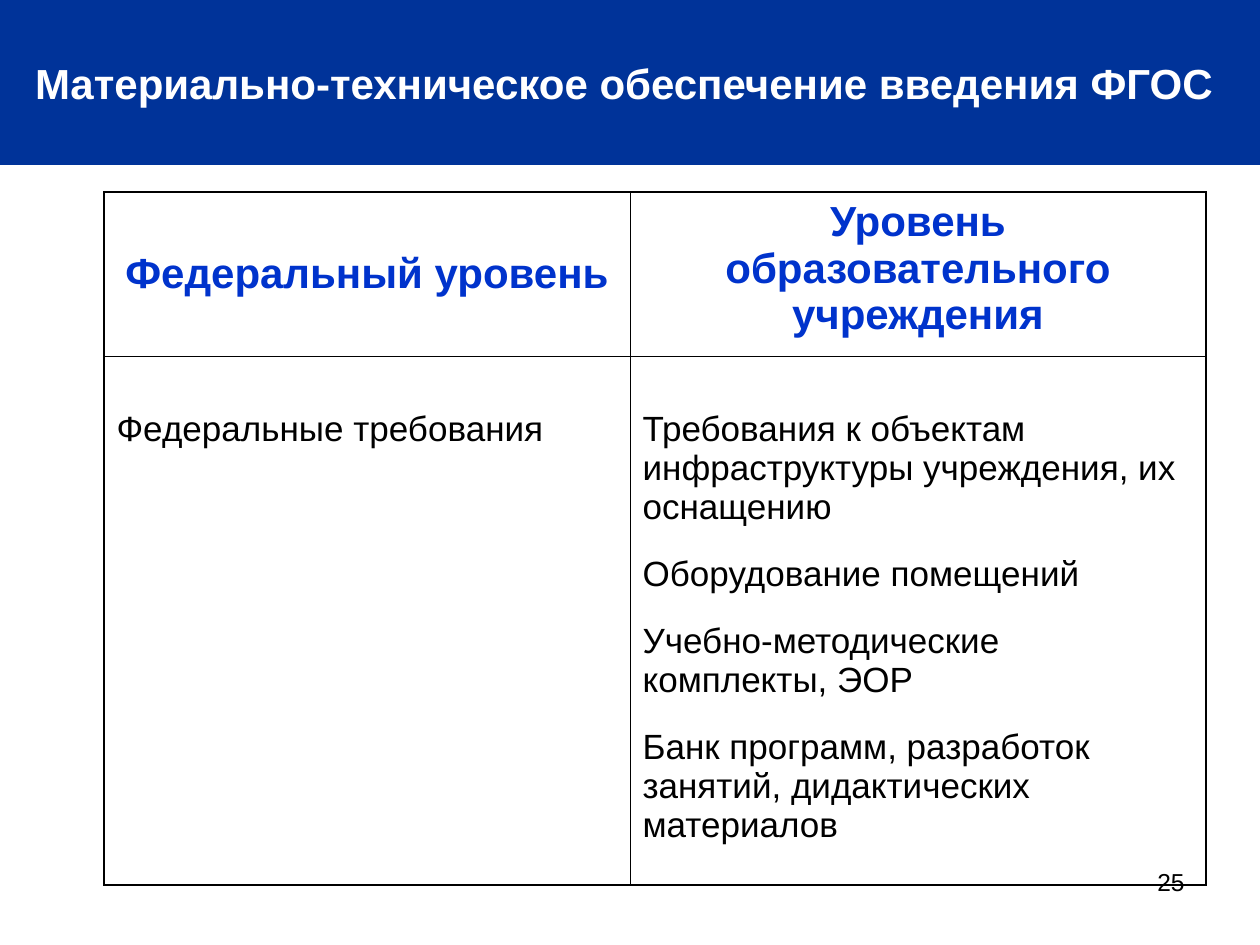
from lxml import etree
from pptx import Presentation
from pptx.dml.color import RGBColor
from pptx.enum.shapes import MSO_SHAPE
from pptx.enum.text import MSO_ANCHOR, PP_ALIGN
from pptx.oxml.ns import qn
from pptx.util import Emu, Pt

RECTANGLE = MSO_SHAPE.RECTANGLE
TOP, MIDDLE = MSO_ANCHOR.TOP, MSO_ANCHOR.MIDDLE
LEFT, CENTER, RIGHT = PP_ALIGN.LEFT, PP_ALIGN.CENTER, PP_ALIGN.RIGHT

PX_PER_INCH = 126
FONT = "Arial"
BLACK, WHITE, NAVY, BLUE = "000000", "FFFFFF", "003399", "0033CC"
OUTER_PT, INNER_PT = 1.08, 0.45
COLUMN_WIDTHS = (526, 576)
ROW_HEIGHTS = (164, 529)
BODY_TOP_MARGIN = 54

LEVELS = ["Федеральный уровень", "Уровень образовательного учреждения"]
MEASURES = [
    ["Федеральные требования"],
    [
        "Требования к объектам инфраструктуры учреждения, их оснащению",
        "Оборудование помещений",
        "Учебно-методические комплекты, ЭОР",
        "Банк программ, разработок занятий, дидактических материалов",
    ],
]


def px(length):
    """Turn pixels into EMU."""
    return Emu(round(length * 914400 / PX_PER_INCH))


def color(hex_value):
    """Turn a hex string into a colour."""
    return RGBColor.from_string(hex_value)


def write(frame, lines, size, hex_value, align, bold=False, gap=0):
    """Write one paragraph per line, with a gap in points between them."""
    for index, line in enumerate(lines):
        paragraph = frame.add_paragraph() if index else frame.paragraphs[0]
        paragraph.alignment = align
        if index:
            paragraph.space_before = Pt(gap)
        run = paragraph.add_run()
        run.text = line
        run.font.name = FONT
        run.font.size = Pt(size)
        run.font.bold = bold
        run.font.color.rgb = color(hex_value)


def add_title_band(slide, left, top, width, height):
    """Draw the filled band with the slide title."""
    band = slide.shapes.add_shape(RECTANGLE, px(left), px(top), px(width), px(height))
    band.shadow.inherit = False
    band.fill.solid()
    band.fill.fore_color.rgb = color(NAVY)
    band.line.fill.background()
    frame = band.text_frame
    frame.word_wrap = False
    frame.vertical_anchor = MIDDLE
    write(frame, ["Материально-техническое обеспечение введения ФГОС "], 24, WHITE, CENTER, bold=True)


def add_page_number(slide, left, top, width, height):
    """Place the right-aligned page number."""
    frame = slide.shapes.add_textbox(px(left), px(top), px(width), px(height)).text_frame
    frame.word_wrap = True
    write(frame, ["25"], 14, BLACK, RIGHT)


def set_borders(cell, row, column):
    """Give a cell heavier lines on the outer edges of the table."""
    outer_sides = {
        "a:lnL": column == 0,
        "a:lnR": column == len(COLUMN_WIDTHS) - 1,
        "a:lnT": row == 0,
        "a:lnB": row == len(ROW_HEIGHTS) - 1,
    }
    properties = cell._tc.get_or_add_tcPr()
    for tag, is_outer in outer_sides.items():
        width = Pt(OUTER_PT if is_outer else INNER_PT)
        line = etree.SubElement(properties, qn(tag), w=str(int(width)))
        fill = etree.SubElement(line, qn("a:solidFill"))
        etree.SubElement(fill, qn("a:srgbClr"), val=BLACK)


def add_levels_table(slide, left, top):
    """Build the table of measures by level."""
    table = slide.shapes.add_table(
        len(ROW_HEIGHTS), len(COLUMN_WIDTHS), px(left), px(top),
        px(sum(COLUMN_WIDTHS)), px(sum(ROW_HEIGHTS)),
    ).table
    table.first_row = table.horz_banding = False
    for row, height in enumerate(ROW_HEIGHTS):
        table.rows[row].height = px(height)
    for column, width in enumerate(COLUMN_WIDTHS):
        table.columns[column].width = px(width)
        header, body = table.cell(0, column), table.cell(1, column)
        for row, cell in enumerate((header, body)):
            set_borders(cell, row, column)
            cell.fill.background()
        header.vertical_anchor = TOP if column else MIDDLE
        body.margin_top = px(BODY_TOP_MARGIN)
        write(header.text_frame, [LEVELS[column]], 24, BLUE, CENTER, bold=True)
        write(body.text_frame, MEASURES[column], 20, BLACK, LEFT, gap=16)


def main():
    """Build and save the slide."""
    deck = Presentation()
    deck.slide_width, deck.slide_height = px(1260), px(945)
    slide = deck.slides.add_slide(deck.slide_layouts[6])
    add_page_number(slide, 903, 861, 294, 66)
    add_title_band(slide, 0, 0, 1260, 165)
    add_levels_table(slide, 104, 192)
    deck.save("out.pptx")


if __name__ == "__main__":
    main()
